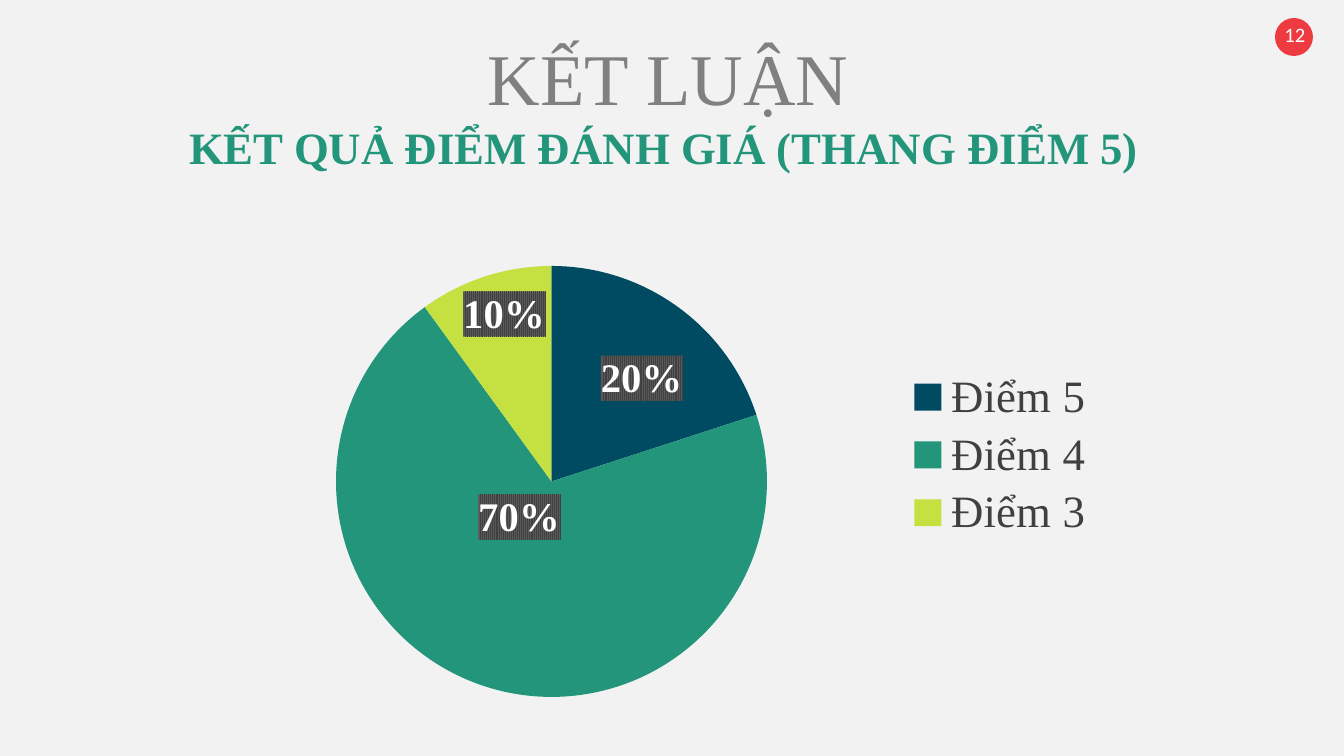
from copy import deepcopy

from lxml import etree
from pptx import Presentation
from pptx import util as u
from pptx.chart.data import CategoryChartData
from pptx.dml.color import RGBColor
from pptx.enum import chart as ch, shapes, text
from pptx.oxml import parse_xml
from pptx.oxml.ns import nsdecls, qn

COLORS = {"back": "F2F2F2", "badge": "EE3B42", "white": "FFFFFF", "gray": "808080",
          "green": "22957B", "legend": "404040", "navy": "004B62", "lime": "C5E041",
          "hatch": "404040", "hatch_back": "595959"}
SERIF = "Times New Roman"

HEADING = {"text": "KẾT LUẬN", "box": (367, 38, 612, 85), "size": 52, "color": "gray",
           "font": SERIF, "bold": False, "insets": (0, 5, 10, 5), "spacing": 0.9}
SUBHEADING = {"text": "KẾT QUẢ ĐIỂM ĐÁNH GIÁ (THANG ĐIỂM 5)", "box": (180, 121, 978, 50),
              "size": 32, "color": "green", "font": SERIF, "bold": True,
              "insets": (0, 5, 10, 5), "spacing": 0.9}
PAGE_NUMBER = {"text": "12", "box": (1254, 14, 82, 40), "size": 14.7, "color": "white",
               "font": "Calibri", "bold": False, "insets": (13, 7, 13, 7), "spacing": 1.0,
               "anchor": text.MSO_ANCHOR.MIDDLE}
BADGE_BOX = (1275, 18, 38, 38)

SCORES = [
    {"name": "Điểm 5", "value": 20, "color": "navy", "label_shift": (27, -16)},
    {"name": "Điểm 4", "value": 70, "color": "green", "label_shift": (1, -67)},
    {"name": "Điểm 3", "value": 10, "color": "lime", "label_shift": (-14, -65)},
]
CHART_BOX = (218, 207, 910, 549)
PIE_BOX = (336, 266, 431, 431)
LEGEND_BOX = (900, 364, 200, 182)
LABEL_FONT = {"size": 29, "color": "white", "font": SERIF, "bold": True}
LEGEND_FONT = {"size": 32, "color": "legend", "font": SERIF, "bold": False}


def px(n):
    return u.Emu(round(n * 914400 / 100.8))


def rgb(name):
    return RGBColor.from_string(COLORS[name])


def style(font, look):
    values = {"name": look["font"], "size": u.Pt(look["size"]), "bold": look["bold"]}
    for key, value in values.items():
        setattr(font, key, value)
    font.color.rgb = rgb(look["color"])


def place(part, box):
    for key, value in zip(("left", "top", "width", "height"), box):
        setattr(part, key, px(value))


def write(part, look):
    place(part, look["box"])
    frame = part.text_frame
    frame.text = look["text"]
    settings = {"word_wrap": True, "auto_size": text.MSO_AUTO_SIZE.NONE,
                "vertical_anchor": look.get("anchor", text.MSO_ANCHOR.TOP)}
    sides = ("margin_left", "margin_top", "margin_right", "margin_bottom")
    settings.update(zip(sides, map(px, look["insets"])))
    for key, value in settings.items():
        setattr(frame, key, value)
    line = frame.paragraphs[0]
    line.alignment = text.PP_ALIGN.CENTER
    line.line_spacing = look["spacing"]
    line.space_before = u.Pt(0)
    style(line.runs[0].font, look)


def layout_xml(values, inner=False):
    modes = {"xMode": "edge", "yMode": "edge"} if len(values) == 4 else {}
    entries = {"layoutTarget": "inner"} if inner else {}
    entries.update(modes)
    entries.update(zip("xywh", (round(value, 4) for value in values)))
    body = "".join(f'<c:{tag} val="{value}"/>' for tag, value in entries.items())
    return parse_xml(f'<c:layout {nsdecls("c")}><c:manualLayout>{body}'
                     '</c:manualLayout></c:layout>')


def in_chart(box):
    left, top, width, height = CHART_BOX
    x, y, w, h = box
    return (x - left) / width, (y - top) / height, w / width, h / height


def set_layout(parent, layout, before):
    for old in parent.findall(qn("c:layout")):
        parent.remove(old)
    following = next(child for child in parent if child.tag in map(qn, before))
    following.addprevious(layout)


def label_slices(series):
    labels = series.data_labels
    settings = {"show_percentage": True, "show_value": False,
                "position": ch.XL_LABEL_POSITION.CENTER}
    for key, value in settings.items():
        setattr(labels, key, value)
    style(labels.font, LABEL_FONT)
    group = labels._element
    hatch = parse_xml(
        f'<c:spPr {nsdecls("c", "a")}><a:pattFill prst="narVert">'
        f'<a:fgClr><a:srgbClr val="{COLORS["hatch"]}"/></a:fgClr>'
        f'<a:bgClr><a:srgbClr val="{COLORS["hatch_back"]}"/></a:bgClr>'
        '</a:pattFill><a:ln><a:noFill/></a:ln></c:spPr>')
    group.find(qn("c:txPr")).addprevious(hatch)
    shared = [part for part in group if part.tag != qn("c:showLeaderLines")]
    for index, score in enumerate(SCORES):
        label = etree.Element(qn("c:dLbl"))
        etree.SubElement(label, qn("c:idx")).set("val", str(index))
        dx, dy = score["label_shift"]
        label.append(layout_xml((dx / CHART_BOX[2], dy / CHART_BOX[3])))
        label.extend(deepcopy(part) for part in shared)
        group.insert(index, label)


def add_pie(slide):
    data = CategoryChartData()
    data.categories = [score["name"] for score in SCORES]
    data.add_series("Series 1", [score["value"] for score in SCORES])
    chart = slide.shapes.add_chart(ch.XL_CHART_TYPE.PIE, *map(px, CHART_BOX), data).chart
    chart.has_title = False
    chart.font.name = "Calibri"
    chart.font.size = u.Pt(10)
    chart.has_legend = True
    legend = chart.legend
    legend.position = ch.XL_LEGEND_POSITION.RIGHT
    legend.include_in_layout = False
    style(legend.font, LEGEND_FONT)
    set_layout(legend._element, layout_xml(in_chart(LEGEND_BOX)), ["c:overlay"])
    plot = chart.plots[0]
    plot.vary_by_categories = True
    series = plot.series[0]
    for index, score in enumerate(SCORES):
        slice_format = series.points[index].format
        slice_format.fill.solid()
        slice_format.fill.fore_color.rgb = rgb(score["color"])
        slice_format.line.fill.background()
    label_slices(series)
    plot_area = chart._chartSpace.chart.plotArea
    set_layout(plot_area, layout_xml(in_chart(PIE_BOX), inner=True), ["c:pieChart"])


def main():
    deck = Presentation()
    deck.slide_width, deck.slide_height = px(1344), px(756)
    slide = deck.slides.add_slide(deck.slide_layouts[5])
    slide.background.fill.solid()
    slide.background.fill.fore_color.rgb = rgb("back")

    badge = slide.shapes.add_shape(shapes.MSO_SHAPE.OVAL, *map(px, BADGE_BOX))
    badge.shadow.inherit = False
    badge.fill.solid()
    badge.fill.fore_color.rgb = rgb("badge")
    badge.line.fill.background()

    write(slide.shapes.title, HEADING)
    for look in (PAGE_NUMBER, SUBHEADING):
        write(slide.shapes.add_textbox(*map(px, look["box"])), look)
    add_pie(slide)
    deck.save("out.pptx")


if __name__ == "__main__":
    main()
